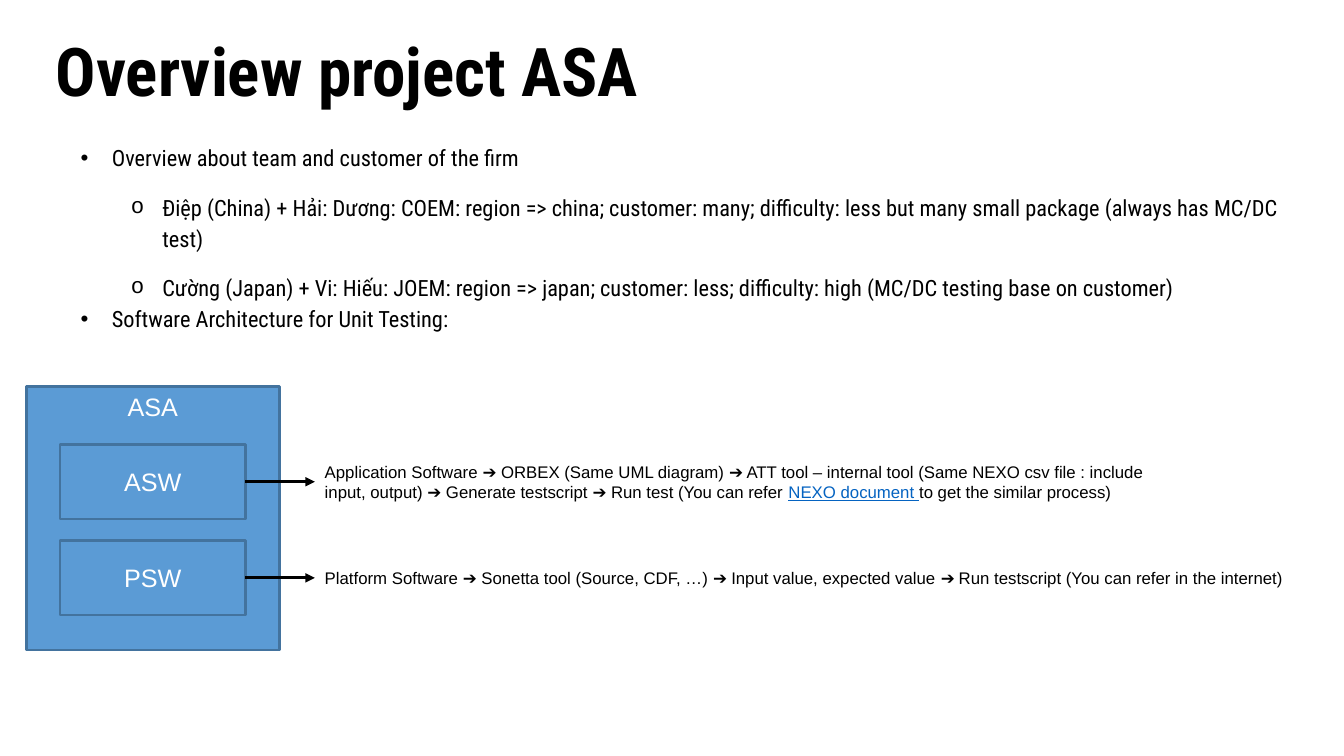
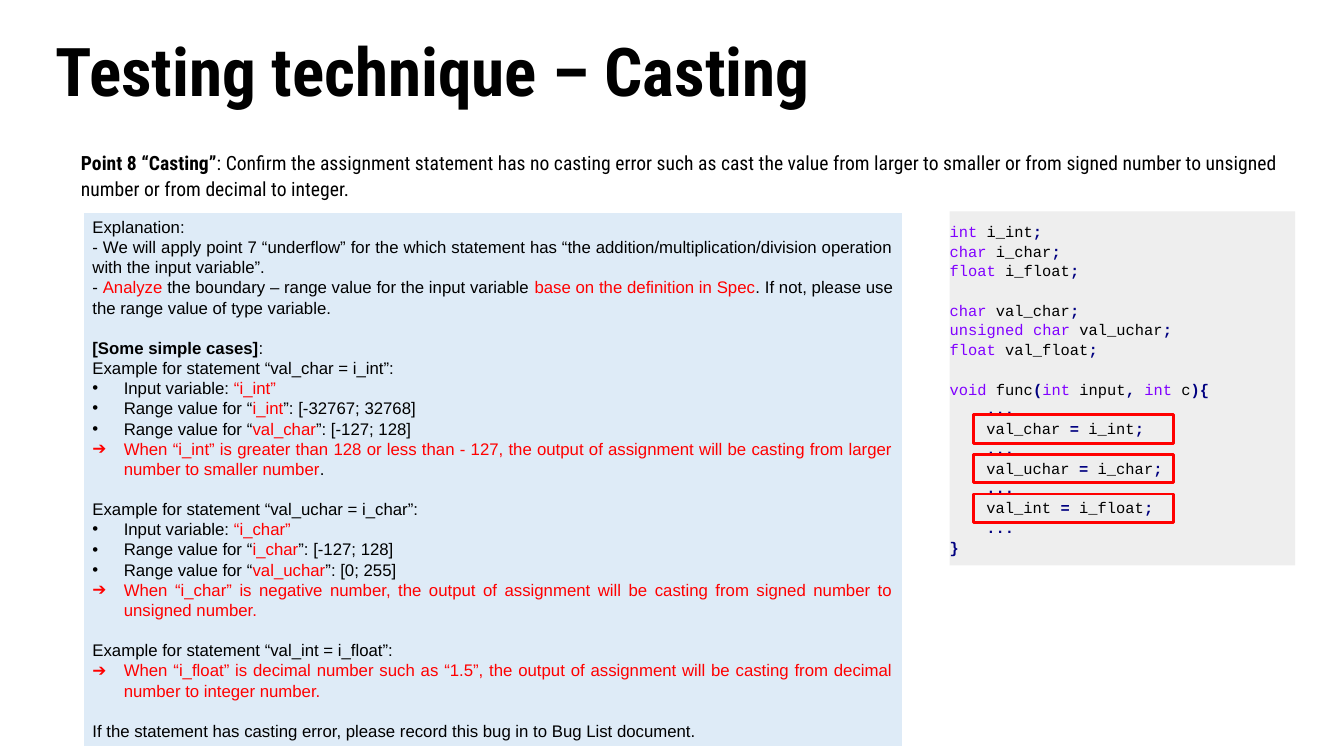
from itertools import groupby

from lxml.etree import SubElement
from pptx import Presentation
from pptx.dml.color import RGBColor
from pptx.enum.shapes import MSO_CONNECTOR, MSO_SHAPE
from pptx.enum.text import MSO_ANCHOR, MSO_AUTO_SIZE, PP_ALIGN
from pptx.oxml.ns import qn
from pptx.util import Cm, Pt

BLACK = RGBColor(0x00, 0x00, 0x00)
WHITE = RGBColor(0xFF, 0xFF, 0xFF)
BLUE = RGBColor(0x5B, 0x9B, 0xD5)
DARK_BLUE = RGBColor(0x43, 0x73, 0x9E)
PALE_BLUE = RGBColor(0xDE, 0xEB, 0xF7)
LINK = RGBColor(0x05, 0x63, 0xC1)
RED = RGBColor(0xFF, 0x00, 0x00)
GREY = RGBColor(0xEE, 0xEE, 0xEE)
PURPLE = RGBColor(0x80, 0x00, 0xFF)
NAVY = RGBColor(0x00, 0x00, 0x80)

HEAD_FONT, BODY_FONT, CODE_FONT = "Roboto Condensed", "Arial", "Courier New"
KEYWORDS = {"int", "char", "float", "unsigned", "void"}

CASES = [
    ("val_char", "i_int", "[-32767; 32768]", "[-127; 128]",
     "|When “i_int” is greater than 128 or less than - 127, the output of assignment "
     "will be casting from larger number to smaller number|."),
    ("val_uchar", "i_char", "[-127; 128]", "[0; 255]",
     "|When “i_char” is negative number, the output of assignment will be casting "
     "from signed number to unsigned number."),
    ("val_int", "i_float", None, None,
     "|When “i_float” is decimal number such as “1.5”, the output of assignment "
     "will be casting from decimal number to integer number."),
]

# Each entry: code line, indented or not, gap above or not
CODE = [
    ("int i_int;", False, False),
    ("char i_char;", False, False),
    ("float i_float;", False, False),
    ("char val_char;", False, True),
    ("unsigned char val_uchar;", False, False),
    ("float val_float;", False, False),
    ("void func(int input, int c){", False, True),
    ("...", True, False),
    ("val_char = i_int;", True, False),
    ("...", True, False),
    ("val_uchar = i_char;", True, False),
    ("...", True, False),
    ("val_int = i_float;", True, False),
    ("...", True, False),
    ("}", False, False),
]


def marked(text, **accent):
    """Split text at bars into runs; every second run takes the accent format."""
    return [(part, accent if i % 2 else {}) for i, part in enumerate(text.split("|")) if part]


def highlighted(code):
    """Split a line of code into coloured runs."""
    def kind(c):
        return "space" if c == " " else "word" if c.isalnum() or c == "_" else "sign"

    runs = []
    for k, chars in groupby(code, kind):
        token = "".join(chars)
        if k == "sign":
            runs.append((token, {"color": NAVY, "bold": True}))
        else:
            runs.append((token, {"color": PURPLE} if token in KEYWORDS else {}))
    return runs


def add_text(tf, text, size=12, font=BODY_FONT, color=BLACK, bold=False, align=PP_ALIGN.LEFT,
             spacing=1.0, before=0, level=0, left=0, hang=0, bullet=None, bullet_font=BODY_FONT):
    """Add one paragraph, given as a string or a list of (text, format) runs."""
    p = tf.paragraphs[0]
    if p.runs:
        p = tf.add_paragraph()
    p.alignment, p.level, p.line_spacing = align, level, spacing
    p.space_before, p.space_after = Pt(before), Pt(0)
    pPr = p._p.get_or_add_pPr()
    pPr.set("marL", str(Cm(left)))
    pPr.set("indent", str(-Cm(hang)))
    if bullet:
        clr = SubElement(pPr, qn("a:buClr"))
        SubElement(clr, qn("a:srgbClr")).set("val", str(BLACK if bullet != "➔" else RED))
        SubElement(pPr, qn("a:buFont")).set("typeface", bullet_font)
        SubElement(pPr, qn("a:buChar")).set("char", bullet)
    else:
        SubElement(pPr, qn("a:buNone"))
    for part, fmt in [(text, {})] if isinstance(text, str) else text:
        r = p.add_run()
        r.text = part
        r.font.name, r.font.size = font, Pt(size)
        r.font.bold = fmt.get("bold", bold)
        r.font.underline = fmt.get("underline", False)
        r.font.color.rgb = fmt.get("color", color)


def set_frame(tf, anchor=MSO_ANCHOR.TOP, side=0.25, edge=0.13):
    """Set wrapping, anchor and insets of a text frame."""
    tf.word_wrap, tf.auto_size, tf.vertical_anchor = True, MSO_AUTO_SIZE.NONE, anchor
    tf.margin_left = tf.margin_right = Cm(side)
    tf.margin_top = tf.margin_bottom = Cm(edge)


def place(sp, x, y, w, h):
    """Move and size a placeholder."""
    sp.left, sp.top, sp.width, sp.height = Cm(x), Cm(y), Cm(w), Cm(h)


def add_box(s, x, y, w, h, fill=None, line=None, anchor=MSO_ANCHOR.TOP, **insets):
    """Add a plain rectangle and return its text frame."""
    sp = s.shapes.add_shape(MSO_SHAPE.RECTANGLE, Cm(x), Cm(y), Cm(w), Cm(h))
    sp.shadow.inherit = False
    if fill is None:
        sp.fill.background()
    else:
        sp.fill.solid()
        sp.fill.fore_color.rgb = fill
    if line is None:
        sp.line.fill.background()
    else:
        sp.line.color.rgb = line
        sp.line.width = Pt(2)
    set_frame(sp.text_frame, anchor, **insets)
    return sp.text_frame


def add_arrow(s, x, y, length):
    """Add a horizontal arrow pointing right."""
    cn = s.shapes.add_connector(MSO_CONNECTOR.STRAIGHT, Cm(x), Cm(y), Cm(x + length), Cm(y))
    cn.line.color.rgb = BLACK
    cn.line.width = Pt(2.25)
    SubElement(cn.line._get_or_add_ln(), qn("a:tailEnd")).set("type", "triangle")
    SubElement(cn._element.spPr, qn("a:effectLst"))


def add_page(prs, title, body_top):
    """Add a slide with its title; return the slide and the body text frame."""
    s = prs.slides.add_slide(prs.slide_layouts[1])
    head, body = s.shapes.title, s.placeholders[1]
    place(head, 1.22, 0.71, 31.42, 2.34)
    place(body, 1.22, body_top, 31.42, 14.43)
    set_frame(head.text_frame, MSO_ANCHOR.MIDDLE, side=0.18, edge=0.1)
    set_frame(body.text_frame, side=0.18, edge=0.1)
    add_text(head.text_frame, title, size=48, font=HEAD_FONT, bold=True, spacing=0.9)
    return s, body.text_frame


def add_architecture(s, x, y, w, h, parts):
    """Draw the outer block with one inner block, arrow and description per part."""
    tf = add_box(s, x, y, w, h, BLUE, DARK_BLUE)
    add_text(tf, "ASA", size=18, color=WHITE, align=PP_ALIGN.CENTER)
    inner_w, inner_h, arrow = 4.67, 1.88, 1.75
    inner_x = x + (w - inner_w) / 2
    for i, (name, text, text_w) in enumerate(parts):
        top = y + 1.47 + i * 2.42
        middle = top + inner_h / 2
        tf = add_box(s, inner_x, top, inner_w, inner_h, BLUE, DARK_BLUE, MSO_ANCHOR.MIDDLE)
        add_text(tf, name, size=18, color=WHITE, align=PP_ALIGN.CENTER)
        add_arrow(s, inner_x + inner_w, middle, arrow)
        note = s.shapes.add_textbox(Cm(inner_x + inner_w + arrow), Cm(middle - 0.64),
                                    Cm(text_w), Cm(1.28))
        set_frame(note.text_frame, MSO_ANCHOR.MIDDLE)
        add_text(note.text_frame, marked(text, color=LINK, underline=True))


def add_explanation(s, x, y, w, h):
    """Fill the pale panel with the explanation and the example cases."""
    tf = add_box(s, x, y, w, h, PALE_BLUE, WHITE)
    gap = 14.4

    def para(text, **fmt):
        add_text(tf, marked(text, color=RED), **{"align": PP_ALIGN.JUSTIFY, **fmt})

    def item(text, bullet="•", align=PP_ALIGN.LEFT):
        para(text, left=0.79, hang=0.79, bullet=bullet, align=align)

    para("Explanation:")
    para("- We will apply point 7 “underflow” for the which statement has “the "
         "addition/multiplication/division operation with the input variable”.")
    para("- |Analyze| the boundary – range value for the input variable |base on the "
         "definition in Spec|. If not, please use the range value of type variable.")
    add_text(tf, marked("|[Some simple cases]|:", bold=True), before=gap)
    for i, (target, source, source_range, target_range, result) in enumerate(CASES):
        para(f"Example for statement “{target} = {source}”:", before=gap if i else 0)
        if source_range:
            item(f"Input variable: |“{source}”")
            item(f"Range value for “|{source}|”: {source_range}")
            item(f"Range value for “|{target}|”: {target_range}")
        item(result, "➔", PP_ALIGN.JUSTIFY)
    para("If the statement has casting error, please record this bug in to Bug List document.",
         before=gap)


def add_code(s, x, y, w, h):
    """Draw the code panel and frame its three assignments."""
    tf = add_box(s, x, y, w, h, GREY, anchor=MSO_ANCHOR.MIDDLE, side=0, edge=0.18)
    for line, indented, gap in CODE:
        add_text(tf, highlighted(line), size=11, font=CODE_FONT, spacing=1.07,
                 before=14 if gap else 0, left=0.93 if indented else 0)
    for i in range(3):
        add_box(s, x + 0.61, y + 5.12 + i, 5.03, 0.72, line=RED)


def overview_slide(prs):
    """Build the project overview."""
    s, tf = add_page(prs, "Overview project ASA", 3.45)
    top = dict(size=16, font=HEAD_FONT, spacing=1.14, left=1.42, hang=0.79, bullet="•")
    sub = dict(top, spacing=1.15, left=2.69, level=1, before=13.3, bullet="o",
               bullet_font=CODE_FONT)
    add_text(tf, "Overview about team and customer of the firm", **top)
    add_text(tf, "Điệp (China) + Hải: Dương: COEM: region => china; customer: many; difficulty: "
                 "less but many small package (always has MC/DC test)", **sub)
    add_text(tf, "Cường (Japan) + Vi: Hiếu: JOEM: region => japan; customer: less; difficulty: "
                 "high (MC/DC testing base on customer)", **sub)
    add_text(tf, "Software Architecture for Unit Testing:", **top)
    add_architecture(s, 0.66, 9.73, 6.38, 6.65, [
        ("ASW", "Application Software ➔ ORBEX (Same UML diagram) ➔ ATT tool – internal tool "
                "(Same NEXO csv file : include input, output) ➔ Generate testscript ➔ Run test "
                "(You can refer |NEXO document |to get the similar process)", 22.05),
        ("PSW", "Platform Software ➔ Sonetta tool (Source, CDF, …) ➔ Input value, expected "
                "value ➔ Run testscript (You can refer in the internet)", 25.88),
    ])


def casting_slide(prs):
    """Build the casting technique slide."""
    s, tf = add_page(prs, "Testing technique – Casting", 3.61)
    add_text(tf, marked("|Point 8 “Casting”|: Confirm the assignment statement has no casting "
                        "error such as cast the value from larger to smaller or from signed "
                        "number to unsigned number or from decimal to integer.", bold=True),
             size=14, font=HEAD_FONT, spacing=1.14, left=0.64)
    add_explanation(s, 2.08, 5.33, 20.68, 13.51)
    add_code(s, 23.93, 5.33, 8.71, 8.92)


prs = Presentation()
prs.slide_width, prs.slide_height = Cm(33.87), Cm(19.05)
overview_slide(prs)
casting_slide(prs)
prs.save("out.pptx")
